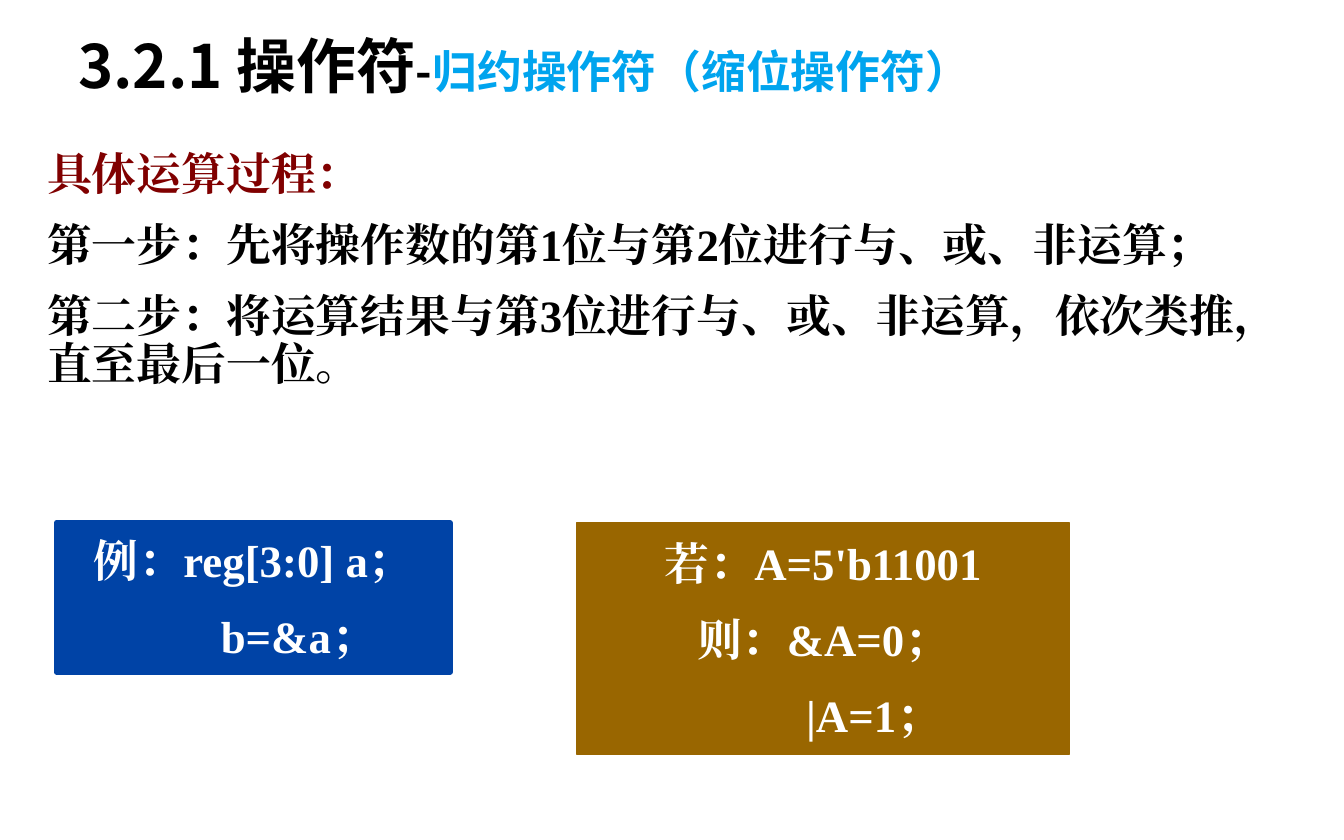
from dataclasses import dataclass

from pptx import Presentation
from pptx import util as u
from pptx.dml.color import RGBColor
from pptx.enum import shapes, text
from pptx.oxml.ns import qn


@dataclass(frozen=True)
class Theme:
    serif: str = "Times New Roman"
    sans: str = "Noto Sans CJK SC"
    black: str = "000000"
    white: str = "FFFFFF"
    maroon: str = "800000"
    sky: str = "00A4EE"
    blue: str = "0043A6"
    brown: str = "996600"
    heading: int = 32
    normal: int = 24
    gap: int = 12


@dataclass(frozen=True)
class Line:
    words: str
    indent: float = 0


@dataclass(frozen=True)
class Example:
    left: float
    width: float
    height: float
    fill: str
    border: float
    lines: tuple[Line, ...]


T = Theme()
EXAMPLE_TOP = 3.89

STEPS = (
    ("具体运算过程：", T.maroon),
    ("第一步：先将操作数的第1位与第2位进行与、或、非运算；", T.black),
    ("第二步：将运算结果与第3位进行与、或、非运算，依次类推，直至最后一位。", T.black),
)
TITLE_RUNS = (
    ("3.2.1 操作符", T.heading, T.black),
    ("-", T.normal, T.black),
    ("归约操作符（缩位操作符）", T.normal, T.sky),
)
EXAMPLES = (
    Example(0.42, 2.93, 1.11, T.blue, 3,
            (Line("例：reg[3:0] a；"), Line("b=&a；", 0.67))),
    Example(4.29, 3.67, 1.72, T.brown, 0.75,
            (Line("若：A=5'b11001"), Line("则：&A=0；"), Line("|A=1；", 0.75))),
)


def add_run(p, words: str, size: int, color: str, font: str = T.serif) -> None:
    r = p.add_run()
    r.text = words
    r.font.size = u.Pt(size)
    r.font.bold = True
    r.font.name = font
    r.font.color.rgb = RGBColor.from_string(color)
    ea = r._r.get_or_add_rPr().makeelement(qn("a:ea"), {"typeface": font})
    r._r.rPr.find(qn("a:latin")).addnext(ea)


def add_paragraph(tf, index: int, align, indent: float = 0):
    """Return the paragraph at index, without bullet and with the common gap."""
    p = tf.paragraphs[0] if index == 0 else tf.add_paragraph()
    p.alignment = align
    p.space_before = u.Pt(T.gap)
    pPr = p._p.get_or_add_pPr()
    pPr.set("marL", str(u.Inches(indent)))
    pPr.set("indent", "0")
    pPr.append(pPr.makeelement(qn("a:buNone"), {}))
    return p


def place(sp, left: float, top: float, width: float, height: float) -> None:
    sp.left, sp.top = u.Inches(left), u.Inches(top)
    sp.width, sp.height = u.Inches(width), u.Inches(height)


def fill_title(sp) -> None:
    place(sp, 0.33, 0.16, 7.14, 0.64)
    tf = sp.text_frame
    tf.auto_size = text.MSO_AUTO_SIZE.NONE
    tf.word_wrap = False
    tf.vertical_anchor = text.MSO_ANCHOR.MIDDLE
    p = add_paragraph(tf, 0, text.PP_ALIGN.CENTER)
    for words, size, color in TITLE_RUNS:
        add_run(p, words, size, color, T.sans)


def fill_steps(sp) -> None:
    place(sp, 0.25, 1.08, 9.33, 1.96)
    tf = sp.text_frame
    tf.auto_size = text.MSO_AUTO_SIZE.NONE
    tf.vertical_anchor = text.MSO_ANCHOR.TOP
    for i, (words, color) in enumerate(STEPS):
        p = add_paragraph(tf, i, text.PP_ALIGN.LEFT)
        p.line_spacing = 0.9
        add_run(p, words, T.normal, color)


def add_example(s, ex: Example) -> None:
    sp = s.shapes.add_shape(
        shapes.MSO_SHAPE.RECTANGLE, u.Inches(ex.left), u.Inches(EXAMPLE_TOP),
        u.Inches(ex.width), u.Inches(ex.height))
    sp.shadow.inherit = False
    color = RGBColor.from_string(ex.fill)
    sp.fill.solid()
    sp.fill.fore_color.rgb = color
    sp.line.color.rgb = color
    sp.line.width = u.Pt(ex.border)
    tf = sp.text_frame
    tf.word_wrap = True
    tf.vertical_anchor = text.MSO_ANCHOR.MIDDLE
    for i, line in enumerate(ex.lines):
        p = add_paragraph(tf, i, text.PP_ALIGN.CENTER, line.indent)
        add_run(p, line.words, T.normal, T.white)


def main() -> None:
    prs = Presentation()
    prs.slide_width, prs.slide_height = u.Inches(10), u.Inches(6.25)
    s = prs.slides.add_slide(prs.slide_layouts[1])
    fill_title(s.shapes.title)
    fill_steps(s.placeholders[1])
    for ex in EXAMPLES:
        add_example(s, ex)
    prs.save("out.pptx")


if __name__ == "__main__":
    main()
